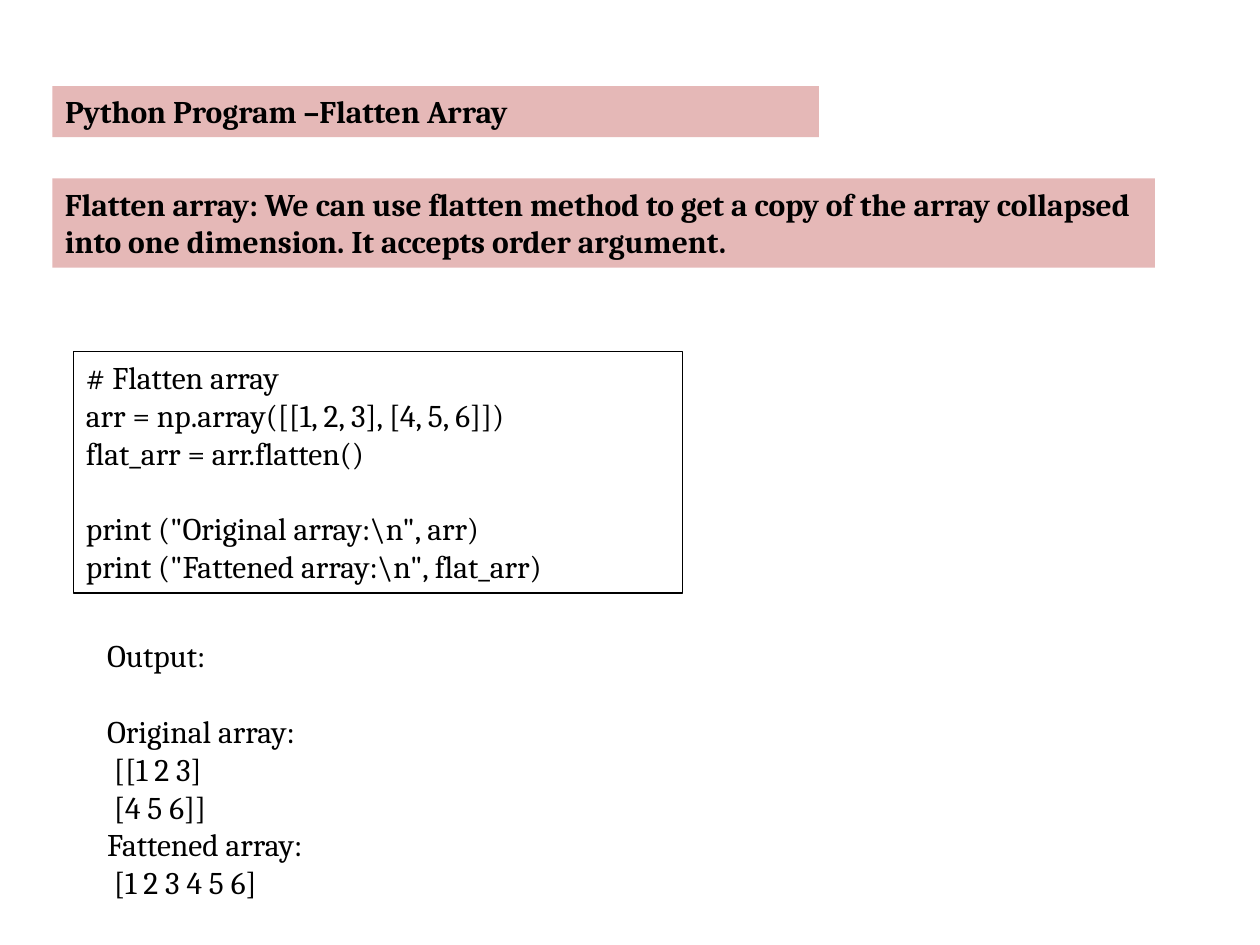
import pptx
import pptx.dml.color
import pptx.enum.shapes
import pptx.enum.text
import pptx.oxml.ns
import pptx.util

BLACK = pptx.dml.color.RGBColor(0x00, 0x00, 0x00)
ROSE = pptx.dml.color.RGBColor(0xE5, 0xB8, 0xB7)
COLUMNS, ROWS = 120, 90
SLIDE_WIDTH, SLIDE_HEIGHT = pptx.util.Inches(10), pptx.util.Inches(7.5)
BLANK_LINE = pptx.util.Pt(21.6)

HEADING = "Python Program –Flatten Array"
DEFINITION = (
    "Flatten array: We can use flatten method to get a copy of the array "
    "collapsed into one dimension. It accepts order argument."
)
CODE = [
    "# Flatten array",
    "arr = np.array([[1, 2, 3], [4, 5, 6]])",
    "flat_arr = arr.flatten()",
    r'print ("Original array:\n", arr)',
    r'print ("Fattened array:\n", flat_arr)',
]
OUTPUT = [
    "Output:",
    "Original array:",
    " [[1 2 3]",
    " [4 5 6]]",
    "Fattened array:",
    " [1 2 3 4 5 6]",
]


def grid_box(column, row, columns, rows):
    return (
        round(SLIDE_WIDTH * column / COLUMNS),
        round(SLIDE_HEIGHT * row / ROWS),
        round(SLIDE_WIDTH * columns / COLUMNS),
        round(SLIDE_HEIGHT * rows / ROWS),
    )


def place(region, box):
    region.left, region.top, region.width, region.height = box


def add_panel(slide, box):
    panel = slide.shapes.add_shape(pptx.enum.shapes.MSO_SHAPE.RECTANGLE, *box)
    panel.shadow.inherit = False
    return panel


def paint(region, color):
    region.fill.solid()
    region.fill.fore_color.rgb = color
    region.line.fill.background()


def write(region, lines, bold=False, size=18, color=BLACK, gap_before=None):
    frame = region.text_frame
    frame.word_wrap = True
    frame.auto_size = pptx.enum.text.MSO_AUTO_SIZE.NONE
    frame.vertical_anchor = pptx.enum.text.MSO_ANCHOR.TOP
    for index, line in enumerate(lines):
        paragraph = frame.paragraphs[0] if index == 0 else frame.add_paragraph()
        paragraph.alignment = pptx.enum.text.PP_ALIGN.LEFT
        paragraph.space_before = BLANK_LINE if index == gap_before else pptx.util.Pt(0)
        words = paragraph.add_run()
        words.text = line
        words.font.name = "Cambria"
        words.font.size = pptx.util.Pt(size)
        words.font.bold = bold
        words.font.color.rgb = color


def remove_bullets(region):
    for paragraph in region.text_frame.paragraphs:
        properties = paragraph._p.get_or_add_pPr()
        properties.set("marL", "0")
        properties.set("indent", "0")
        properties.append(pptx.oxml.parse_xml(
            "<a:buNone %s/>" % pptx.oxml.ns.nsdecls("a")))


def add_heading(slide, box):
    heading = slide.shapes.title
    place(heading, box)
    paint(heading, ROSE)
    write(heading, [HEADING], bold=True)


def add_definition(slide, box):
    definition = add_panel(slide, box)
    paint(definition, ROSE)
    write(definition, [DEFINITION], bold=True)


def add_code(slide, box):
    code = add_panel(slide, box)
    code.fill.background()
    code.line.color.rgb = BLACK
    code.line.width = pptx.util.Pt(0.75)
    write(code, CODE, gap_before=3)


def add_output(slide, box):
    output = slide.placeholders[1]
    place(output, box)
    write(output, OUTPUT, gap_before=1)
    remove_bullets(output)


def main():
    deck = pptx.Presentation()
    deck.slide_width, deck.slide_height = SLIDE_WIDTH, SLIDE_HEIGHT
    slide = deck.slides.add_slide(deck.slide_layouts[1])
    add_definition(slide, grid_box(5, 17, 105, 8.5))
    add_heading(slide, grid_box(5, 8.2, 73, 4.85))
    add_code(slide, grid_box(7, 33.5, 58, 23))
    add_output(slide, grid_box(9, 60, 60, 26.65))
    deck.save("out.pptx")


if __name__ == "__main__":
    main()
